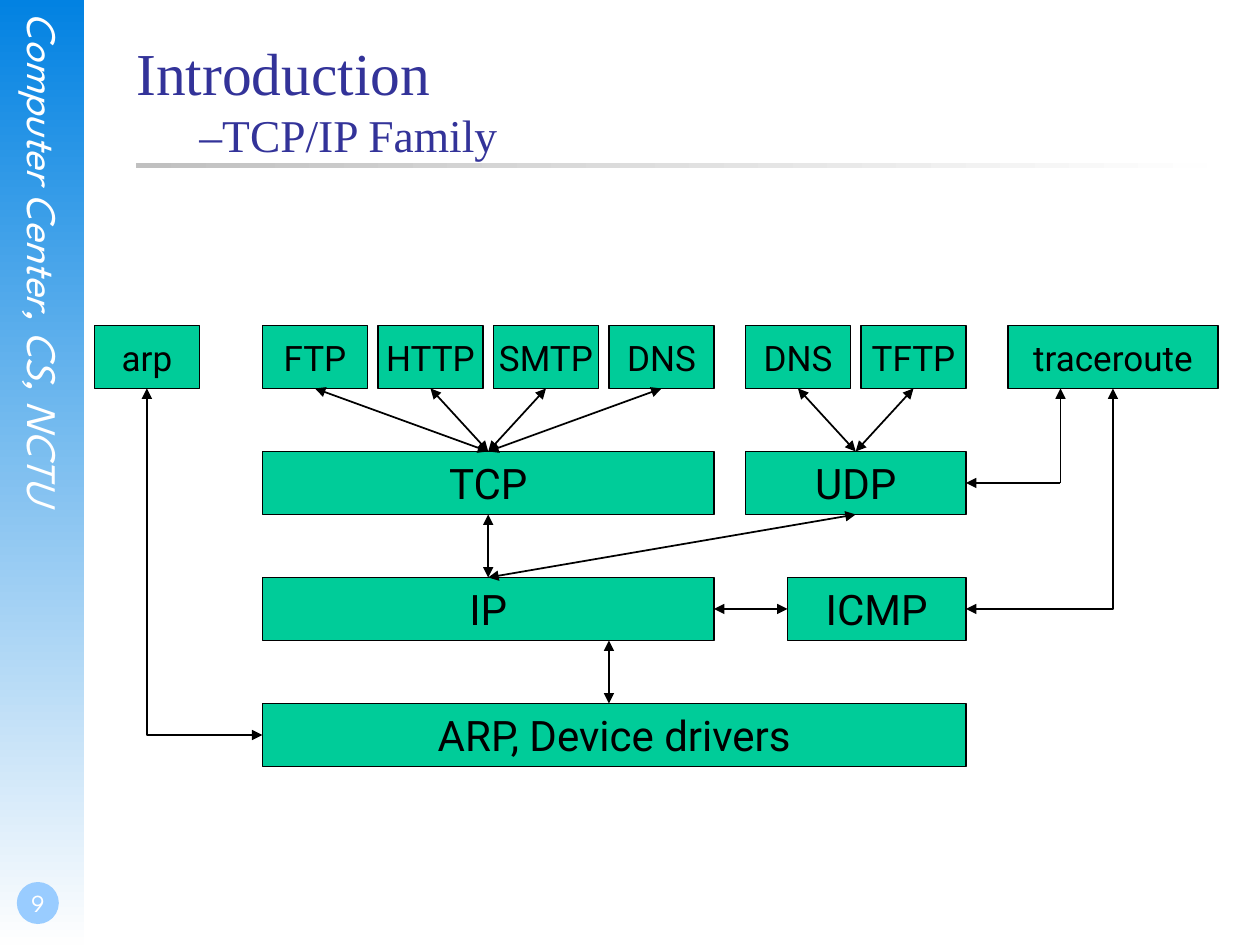
import dataclasses
import typing

import pptx
import pptx.dml.color
import pptx.enum.shapes
import pptx.enum.text
import pptx.oxml
import pptx.oxml.ns
import pptx.util

SCALE = 7620
BLACK, WHITE, GREEN, NAVY = "000000", "FFFFFF", "00CC99", "333399"
SHAPE = pptx.enum.shapes.MSO_SHAPE
LINK = pptx.enum.shapes.MSO_CONNECTOR
ANCHOR = pptx.enum.text.MSO_ANCHOR
CENTER = pptx.enum.text.PP_ALIGN.CENTER
HIGH, WIDE, STEP = 60, 100, 110


@dataclasses.dataclass
class Box:
    text: str
    left: int
    top: int
    width: int
    size: int = 24

    @property
    def mid(self) -> int:
        return self.left + self.width // 2

    @property
    def right(self) -> int:
        return self.left + self.width

    @property
    def base(self) -> int:
        return self.top + HIGH

    @property
    def level(self) -> int:
        return self.top + HIGH // 2


@dataclasses.dataclass
class Arrow:
    start: tuple[int, int]
    end: tuple[int, int]
    heads: tuple[str, ...] = ("headEnd", "tailEnd")
    bent: bool = False


def px(count: int) -> int:
    return pptx.util.Emu(count * SCALE)


def tint(code: str) -> pptx.dml.color.RGBColor:
    return pptx.dml.color.RGBColor.from_string(code)


def apply(target: typing.Any, values: dict) -> None:
    for key, value in values.items():
        setattr(target, key, value)


def style(run: typing.Any, face: str, size: int, color: str, slant: bool = False) -> None:
    apply(run.font, {"name": face, "size": pptx.util.Pt(size), "italic": slant})
    run.font.color.rgb = tint(color)


def set_frame(frame: typing.Any, pads: tuple[int, ...], anchor: typing.Any, wrap: bool) -> None:
    sides = ("margin_left", "margin_top", "margin_right", "margin_bottom")
    apply(frame, dict(zip(sides, map(px, pads))))
    apply(frame, {"vertical_anchor": anchor, "word_wrap": wrap})


def add_form(slide: typing.Any, kind: typing.Any, place: tuple[int, ...], fills: tuple[str, ...],
             angle: int = 0) -> typing.Any:
    form = slide.shapes.add_shape(kind, *map(px, place))
    form.shadow.inherit = False
    form.line.fill.background()
    if len(fills) == 1:
        form.fill.solid()
        form.fill.fore_color.rgb = tint(fills[0])
    else:
        form.fill.gradient()
        form.fill.gradient_angle = angle
        for stop, code, place in zip(form.fill.gradient_stops, fills, (0, 1)):
            stop.color.rgb = tint(code)
            stop.position = place
    return form


def add_text(slide: typing.Any, place: tuple[int, ...], pads: tuple[int, ...] = (0, 0, 0, 0),
             anchor: typing.Any = ANCHOR.TOP) -> typing.Any:
    frame = slide.shapes.add_textbox(*map(px, place)).text_frame
    set_frame(frame, pads, anchor, True)
    return frame


def add_box(slide: typing.Any, box: Box) -> None:
    form = add_form(slide, SHAPE.RECTANGLE, (box.left, box.top, box.width, HIGH), (GREEN,))
    form.line.color.rgb = tint(BLACK)
    form.line.width = pptx.util.Pt(0.75)
    set_frame(form.text_frame, (12, 6, 12, 6), ANCHOR.MIDDLE, False)
    line = form.text_frame.paragraphs[0]
    line.alignment = CENTER
    run = line.add_run()
    run.text = box.text
    style(run, "Roboto", box.size, BLACK)


def add_arrow(slide: typing.Any, arrow: Arrow) -> None:
    kind = LINK.ELBOW if arrow.bent else LINK.STRAIGHT
    link = slide.shapes.add_connector(kind, *map(px, arrow.start + arrow.end))
    link.line.color.rgb = tint(BLACK)
    link.line.width = pptx.util.Pt(1)
    props = link._element.spPr
    if arrow.bent:
        props.find(pptx.oxml.ns.qn("a:prstGeom")).set("prst", "bentConnector2")
    space = pptx.oxml.ns.nsdecls("a")
    for head in arrow.heads:
        link.line._get_or_add_ln().append(pptx.oxml.parse_xml(f'<a:{head} {space} type="triangle"/>'))
    props.append(pptx.oxml.parse_xml(f"<a:effectLst {space}/>"))


def add_frame(slide: typing.Any) -> None:
    add_form(slide, SHAPE.RECTANGLE, (0, 0, 80, 900), ("0282E2", "FEFEFE"), 270)
    side = add_text(slide, (18, 12, 48, 613))
    side._txBody.bodyPr.set("vert", "eaVert")
    run = side.paragraphs[0].add_run()
    run.text = "Computer Center, CS, NCTU"
    style(run, "League Spartan", 24, WHITE, True)

    add_form(slide, SHAPE.OVAL, (16, 840, 40, 40), ("99CCFF",))
    page = add_text(slide, (0, 820, 70, 60), (2, 0, 0, 6), ANCHOR.BOTTOM).paragraphs[0]
    page.alignment = CENTER
    run = page.add_run()
    run.text = "9"
    style(run, "League Spartan", 14, WHITE)

    add_form(slide, SHAPE.RECTANGLE, (130, 155, 1020, 5), ("FEFEFE", "C0C0C0"), 180)
    title = add_text(slide, (130, 34, 1020, 150)).paragraphs[0]
    run = title.add_run()
    run.text = "Introduction"
    style(run, "Times New Roman", 34, NAVY)
    title.add_line_break()
    run = title.add_run()
    run.text = "\t–TCP/IP Family"
    style(run, "Times New Roman", 26, NAVY)


def add_chart(slide: typing.Any) -> None:
    tops = [310 + 120 * row for row in range(4)]
    arp = Box("arp", 90, tops[0], WIDE, 20)
    trace = Box("traceroute", 960, tops[0], 200, 20)
    tcp = Box("TCP", 250, tops[1], 430)
    udp = Box("UDP", 710, tops[1], 210)
    ip = Box("IP", 250, tops[2], 430)
    icmp = Box("ICMP", 750, tops[2], 170)
    base = Box("ARP, Device drivers", 250, tops[3], 670)
    groups = ((tcp, ("FTP", "HTTP", "SMTP", "DNS")), (udp, ("DNS", "TFTP")))

    boxes = [arp, trace, tcp, udp, ip, icmp, base]
    arrows = []
    for host, names in groups:
        for spot, name in enumerate(names):
            app = Box(name, host.left + STEP * spot, tops[0], WIDE, 20)
            boxes.append(app)
            arrows.append(Arrow((host.mid, host.top), (app.mid, app.base)))
        arrows.append(Arrow((ip.mid, ip.top), (host.mid, host.base)))

    turn, drop = trace.left + 50, 580
    arrows += [
        Arrow((ip.right, ip.level), (icmp.left, icmp.level)),
        Arrow((icmp.right, icmp.level), (trace.mid, trace.base), bent=True),
        Arrow((base.left, base.level), (arp.mid, arp.base), bent=True),
        Arrow((turn, trace.base), (turn, udp.level), ("headEnd",)),
        Arrow((turn, udp.level), (udp.right, udp.level), ("tailEnd",)),
        Arrow((drop, base.top), (drop, ip.base)),
    ]
    for box in boxes:
        add_box(slide, box)
    for arrow in arrows:
        add_arrow(slide, arrow)


def main() -> None:
    deck = pptx.Presentation()
    apply(deck, {"slide_width": px(1200), "slide_height": px(900)})
    slide = deck.slides.add_slide(deck.slide_layouts[6])
    add_frame(slide)
    add_chart(slide)
    deck.save("out.pptx")


if __name__ == "__main__":
    main()
